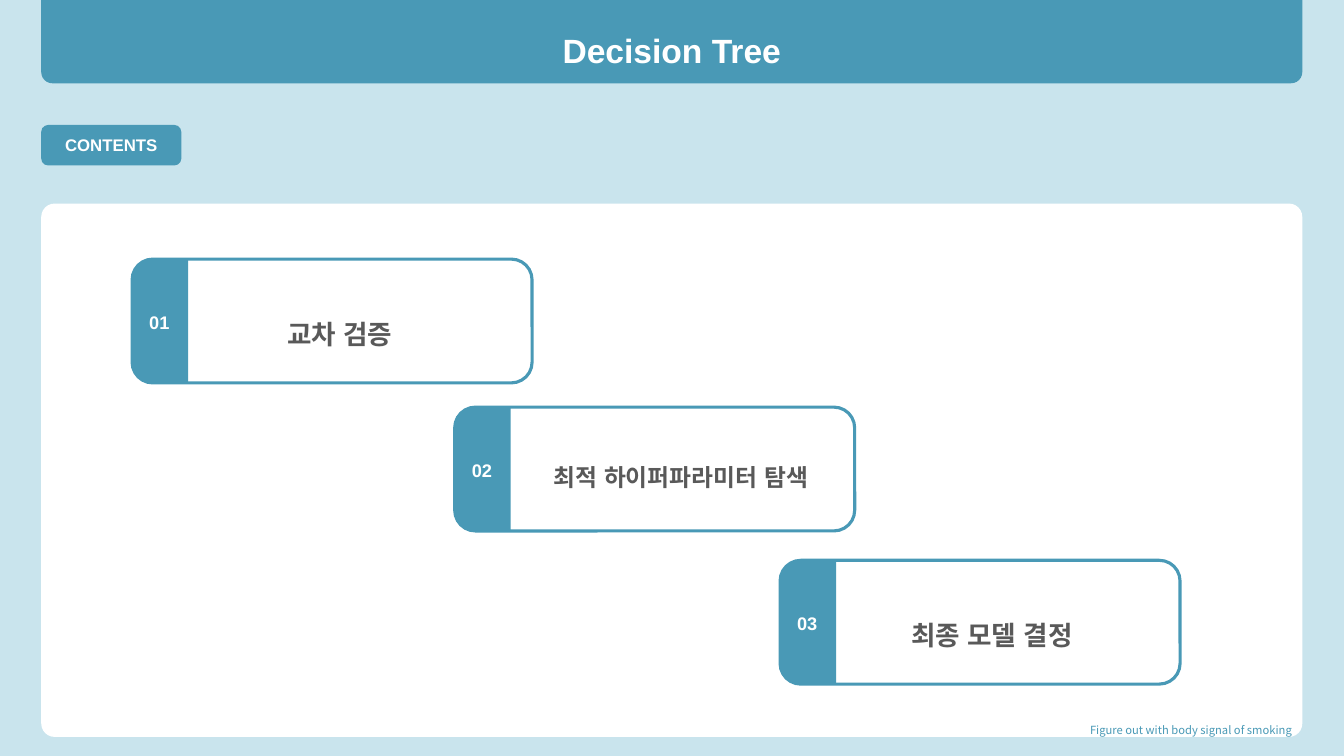
from pptx import Presentation
from pptx.dml.color import RGBColor
from pptx.enum.lang import MSO_LANGUAGE_ID
from pptx.enum.shapes import MSO_SHAPE
from pptx.enum.text import MSO_ANCHOR, PP_ALIGN
from pptx.util import Cm, Pt

TEAL = RGBColor(0x49, 0x99, 0xB6)
PALE = RGBColor(0xC9, 0xE4, 0xED)
WHITE = RGBColor(0xFF, 0xFF, 0xFF)
GRAY = RGBColor(0x59, 0x59, 0x59)
TOP, MID = MSO_ANCHOR.TOP, MSO_ANCHOR.MIDDLE


def add_block(parent, kind, box, adj, fill, edge=None):
    block = parent.shapes.add_shape(kind, *[Cm(n) for n in box])
    block.shadow.inherit = False
    for i, part in enumerate(adj):
        block.adjustments[i] = part
    block.fill.solid()
    block.fill.fore_color.rgb = fill
    if edge:
        block.line.color.rgb = edge
        block.line.width = Pt(2.25)
    else:
        block.line.fill.background()
    return block


def write(shape, text, size, color, align=PP_ALIGN.CENTER, anchor=MID,
          space=1.0, **extra):
    """Put one line of text in a shape; extra holds further font values."""
    frame = shape.text_frame
    frame.word_wrap = True
    frame.vertical_anchor = anchor
    para = frame.paragraphs[0]
    para.alignment = align
    para.line_spacing = space
    run = para.add_run()
    run.text = text
    run.font.color.rgb = color
    style = {"name": "Arial", "size": Pt(size), "bold": True} | extra
    for key, value in style.items():
        setattr(run.font, key, value)


deck = Presentation()
deck.slide_width, deck.slide_height = Cm(33.87), Cm(19.05)
slide = deck.slides.add_slide(deck.slide_layouts[6])
slide.background.fill.solid()
slide.background.fill.fore_color.rgb = PALE

# Panel and section tag
EDGE, WIDE = 1.04, 31.78
add_block(slide, MSO_SHAPE.ROUNDED_RECTANGLE, (EDGE, 5.13, WIDE, 13.44),
          [0.025], WHITE)
tag = add_block(slide, MSO_SHAPE.ROUNDED_RECTANGLE, (EDGE, 3.15, 3.53, 1.02),
                [0.168], TEAL)
write(tag, "CONTENTS", 12, WHITE)

# Footer
foot = slide.shapes.add_textbox(Cm(27.18), Cm(17.98), Cm(5.64), Cm(0.86))
write(foot, "Figure out with body signal of smoking", 8, TEAL, PP_ALIGN.RIGHT,
      TOP, 1.15, name="Noto Sans CJK KR", bold=False)
foot.text_frame.margin_top = foot.text_frame.margin_bottom = Cm(0.25)

# Step cards: left, top, label, size, label inset, label width, anchor
CARD_W, CARD_H, TAB_W = 10.08, 3.12, 1.41
SHIFT = (CARD_H - TAB_W) / 2  # the tab is turned about its centre
steps = [
    (3.33, 6.53, "교차 검증", 19, 1.45, 7.57, TOP),
    (11.46, 10.26, "최적 하이퍼파라미터 탐색", 17, 1.75, 7.9, MID),
    (19.66, 14.12, "최종 모델 결정", 19, 1.55, 7.57, TOP),
]
for num, (x, y, label, size, inset, width, anchor) in enumerate(steps, 1):
    card = slide.shapes.add_group_shape()
    add_block(card, MSO_SHAPE.ROUNDED_RECTANGLE, (x, y, CARD_W, CARD_H),
              [0.167], WHITE, TEAL)
    tab = add_block(card, MSO_SHAPE.ROUND_2_SAME_RECTANGLE,
                    (x - SHIFT, y + SHIFT, CARD_H, TAB_W), [0.328, 0], TEAL)
    tab.rotation = 270
    name = card.shapes.add_textbox(Cm(x + inset), Cm(y + 0.95),
                                   Cm(width), Cm(1.24))
    write(name, label, size, GRAY, anchor=anchor, space=1.5,
          language_id=MSO_LANGUAGE_ID.KOREAN)
    mark = card.shapes.add_textbox(Cm(x + 0.18), Cm(y + 1.18),
                                   Cm(1.37), Cm(0.79))
    write(mark, f"{num:02}", 13, WHITE, PP_ALIGN.LEFT, TOP)

# Title bar
bar = add_block(slide, MSO_SHAPE.ROUND_2_SAME_RECTANGLE, (EDGE, 0, WIDE, 2.1),
                [0, 0.134], TEAL)
write(bar, "Decision Tree", 24, WHITE, space=1.5)

deck.save("out.pptx")
